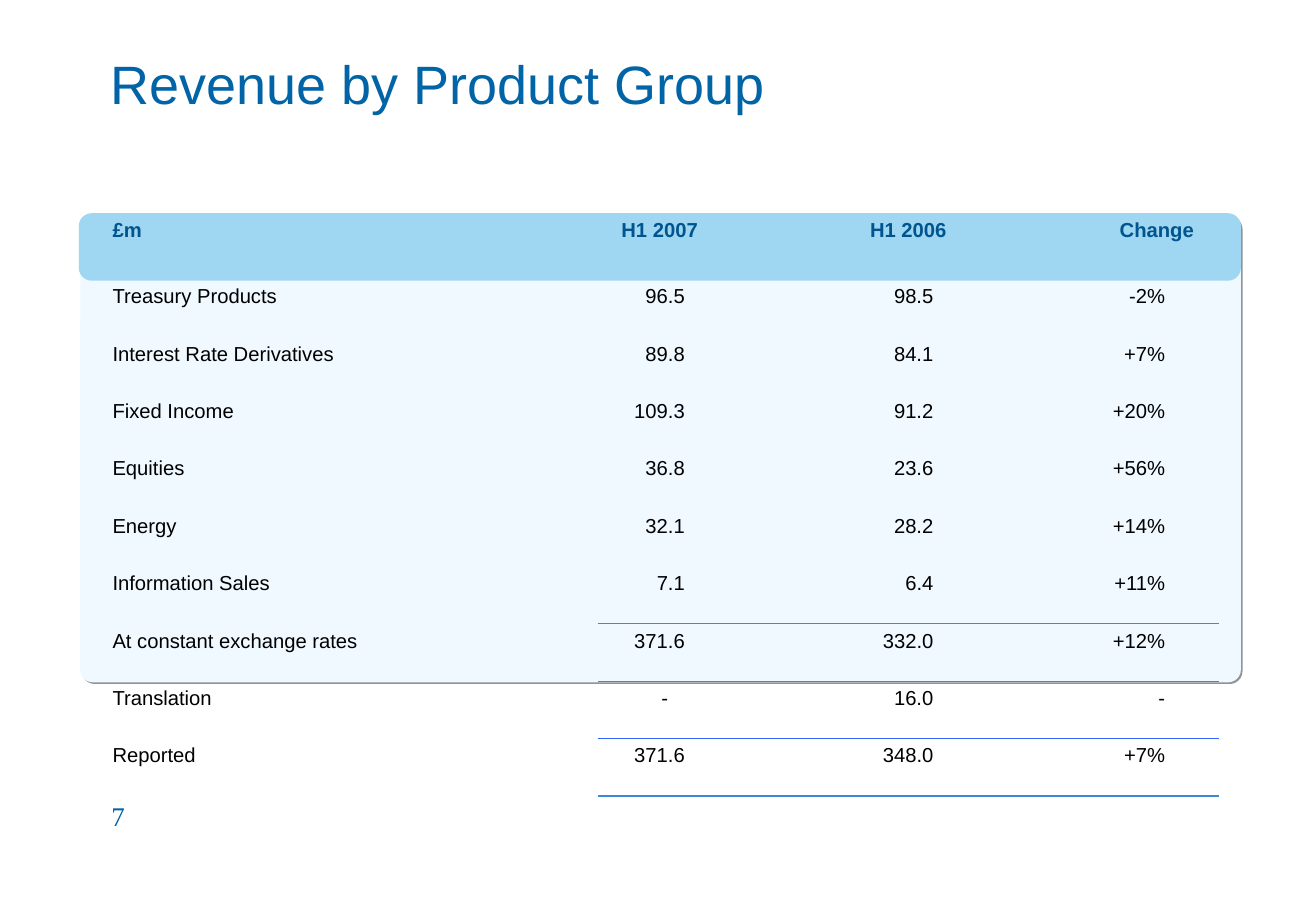
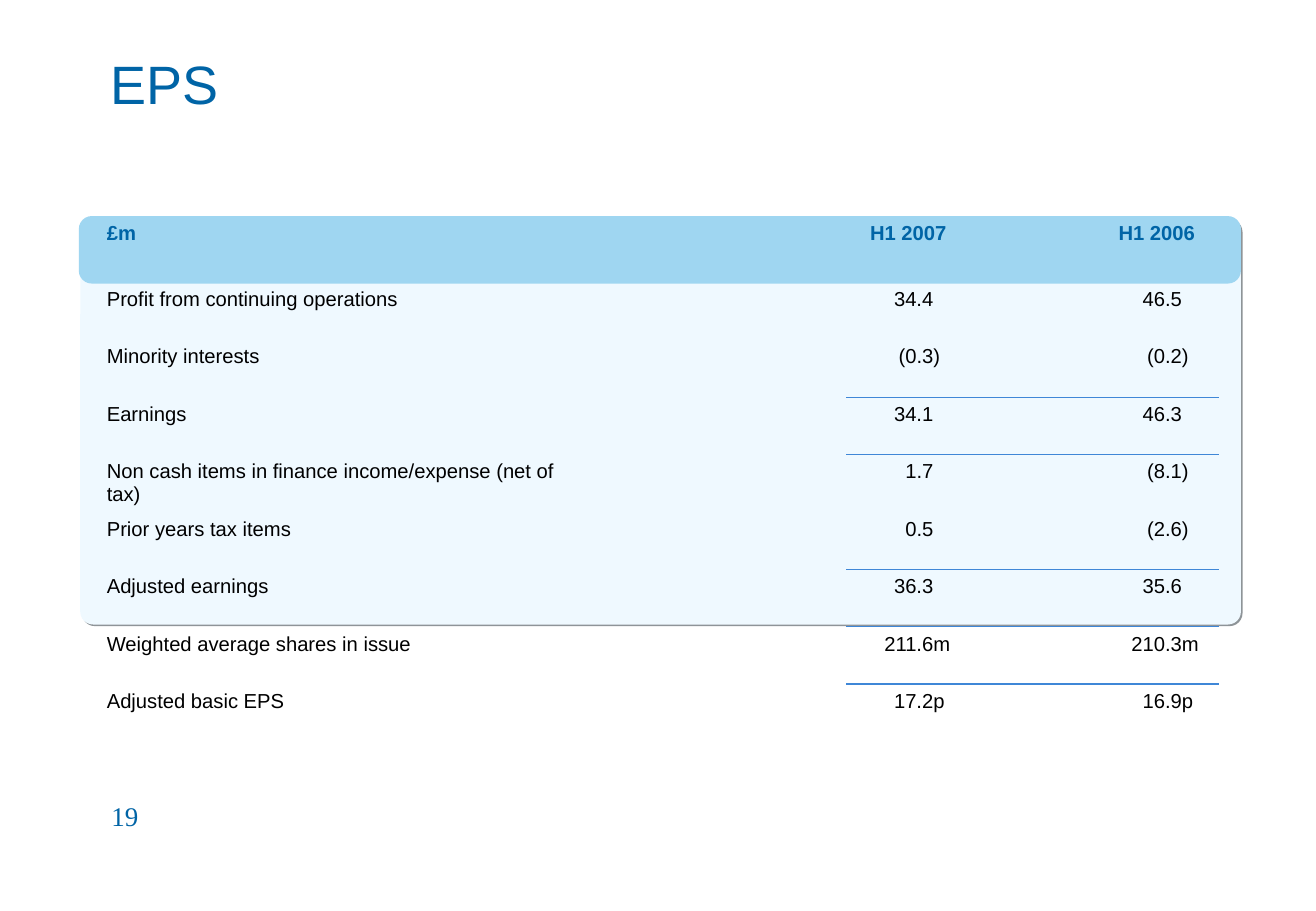
from dataclasses import dataclass

from lxml.etree import SubElement
from pptx import Presentation
from pptx.dml.color import RGBColor
from pptx.enum.shapes import MSO_SHAPE
from pptx.enum.text import MSO_ANCHOR, PP_ALIGN
from pptx.oxml.ns import qn
from pptx.util import Cm, Pt


@dataclass(frozen=True)
class Theme:
    blue: str = "0064A6"
    dark_blue: str = "00558E"
    band: str = "9FD6F1"
    panel: str = "EFF9FF"
    shadow: str = "8E9498"
    rule: str = "3F87D7"
    bright_rule: str = "3366FF"
    black: str = "000000"
    font: str = "Arial"
    number_font: str = "Times New Roman"
    title_size: int = 32
    number_size: int = 16
    table_size: int = 12
    thin: float = 0.45
    thick: float = 1.08


theme = Theme()
thin_rule = (theme.rule, theme.thin)
thick_rule = (theme.rule, theme.thick)

COLUMN_COUNT = 9
COLUMN_WIDTH = 2.6
SECOND_COLUMN_LEFT = 4.7
HEADER_HEIGHT = 1.38
ROW_HEIGHT = 1.2
DECIMAL_TAB = 1.22
CORNER_RADIUS = 0.27
NO_STYLE = "{2D5ABB26-0587-4C30-8999-92F81FD0307C}"

# Rules are keyed by the row they run beneath; row 0 is the header.
pages = [
    {
        "title": "Revenue by Product Group",
        "number": "7",
        "top": 4.46,
        "panel_height": 9.78,
        "table_left": 2.1,
        "label_span": 3,
        "header_color": theme.dark_blue,
        "rules": {6: thin_rule, 8: (theme.bright_rule, theme.thin), 9: thick_rule},
        "rows": [
            ("£m", "H1 2007", "H1 2006", "Change"),
            ("Treasury Products", "96.5", "98.5", "-2%"),
            ("Interest Rate Derivatives", "89.8", "84.1", "+7%"),
            ("Fixed Income", "109.3", "91.2", "+20%"),
            ("Equities", "36.8", "23.6", "+56%"),
            ("Energy", "32.1", "28.2", "+14%"),
            ("Information Sales", "7.1", "6.4", "+11%"),
            ("At constant exchange rates", "371.6", "332.0", "+12%"),
            ("Translation", "-", "16.0", "-"),
            ("Reported", "371.6", "348.0", "+7%"),
        ],
    },
    {
        "title": "EPS",
        "number": "19",
        "top": 4.52,
        "panel_height": 8.51,
        "table_left": 1.98,
        "label_span": 4,
        "header_color": theme.blue,
        "rules": {2: thin_rule, 5: thin_rule, 6: thick_rule},
        "rows": [
            ("£m", "H1 2007", "H1 2006"),
            ("Profit from continuing operations", "34.4", "46.5"),
            ("Minority interests", "(0.3)", "(0.2)"),
            ("Earnings", "34.1", "46.3"),
            ("Non cash items in finance income/expense (net of tax)", "1.7", "(8.1)"),
            ("Prior years tax items", "0.5", "(2.6)"),
            ("Adjusted earnings", "36.3", "35.6"),
            ("Weighted average shares in issue", "211.6m", "210.3m"),
            ("Adjusted basic EPS", "17.2p", "16.9p"),
        ],
    },
]


def add_run(paragraph, text, size, color, font=theme.font, bold=False):
    run = paragraph.add_run()
    run.text = text
    run.font.name = font
    run.font.size = Pt(size)
    run.font.bold = bold
    run.font.color.rgb = RGBColor.from_string(color)


def add_rounded_box(slide, left, top, width, height, color):
    shape = slide.shapes.add_shape(
        MSO_SHAPE.ROUNDED_RECTANGLE, Cm(left), Cm(top), Cm(width), Cm(height))
    shape.adjustments[0] = CORNER_RADIUS / height
    shape.fill.solid()
    shape.fill.fore_color.rgb = RGBColor.from_string(color)
    shape.line.fill.background()
    shape.shadow.inherit = False
    return shape


presentation = Presentation()
presentation.slide_width = Cm(27.53)
presentation.slide_height = Cm(19.05)
title_only = presentation.slide_layouts[5]

for page in pages:
    slide = presentation.slides.add_slide(title_only)
    top = page["top"]

    # Panel with a hard shadow, and the header band over its upper edge
    panel = add_rounded_box(slide, 1.68, top + 0.03, 24.28, page["panel_height"], theme.panel)
    effects = panel._element.spPr.find(qn("a:effectLst"))
    shadow = SubElement(effects, qn("a:outerShdw"), blurRad="0",
                        dist=str(Pt(1.4)), dir="2700000", algn="tl", rotWithShape="0")
    SubElement(shadow, qn("a:srgbClr"), val=theme.shadow)
    add_rounded_box(slide, 1.65, top, 24.31, 1.41, theme.band)

    # Title
    title = slide.shapes.title
    title.left, title.top, title.width, title.height = Cm(2.06), Cm(0.14), Cm(23.39), Cm(3.18)
    title.text_frame.vertical_anchor = MSO_ANCHOR.MIDDLE
    paragraph = title.text_frame.paragraphs[0]
    paragraph.alignment = PP_ALIGN.LEFT
    add_run(paragraph, page["title"], theme.title_size, theme.blue)

    # Table grid
    rows = page["rows"]
    first_width = SECOND_COLUMN_LEFT - page["table_left"]
    table = slide.shapes.add_table(
        len(rows), COLUMN_COUNT, Cm(page["table_left"]), Cm(top),
        Cm(first_width + COLUMN_WIDTH * (COLUMN_COUNT - 1)),
        Cm(HEADER_HEIGHT + ROW_HEIGHT * (len(rows) - 1))).table
    table.first_row = False
    table.horz_banding = False
    table._tbl.tblPr.find(qn("a:tableStyleId")).text = NO_STYLE
    for index, column in enumerate(table.columns):
        column.width = Cm(COLUMN_WIDTH if index else first_width)
    for index, row in enumerate(table.rows):
        row.height = Cm(ROW_HEIGHT if index else HEADER_HEIGHT)

    # Values stand in every second column, counted back from the last
    first_value_column = COLUMN_COUNT + 1 - 2 * (len(rows[0]) - 1)
    value_columns = range(first_value_column, COLUMN_COUNT, 2)

    for row_index, texts in enumerate(rows):
        is_header = row_index == 0
        for column_index in range(COLUMN_COUNT):
            cell = table.cell(row_index, column_index)
            cell_properties = cell._tc.get_or_add_tcPr()
            for edge, rule_row in (("a:lnT", row_index - 1), ("a:lnB", row_index)):
                if column_index >= first_value_column and rule_row in page["rules"]:
                    color, width = page["rules"][rule_row]
                    line = SubElement(cell_properties, qn(edge), w=str(Pt(width)))
                    line_fill = SubElement(line, qn("a:solidFill"))
                    SubElement(line_fill, qn("a:srgbClr"), val=color)
            if is_header:
                cell.fill.solid()
                cell.fill.fore_color.rgb = RGBColor.from_string(theme.band)
            else:
                cell.fill.background()

        if not is_header:
            table.cell(row_index, 0).merge(table.cell(row_index, page["label_span"] - 1))
        for column_index, text in zip((0, *value_columns), texts):
            paragraph = table.cell(row_index, column_index).text_frame.paragraphs[0]
            if column_index and is_header:
                paragraph.alignment = PP_ALIGN.CENTER
            elif column_index:
                tabs = SubElement(paragraph._p.get_or_add_pPr(), qn("a:tabLst"))
                SubElement(tabs, qn("a:tab"), pos=str(Cm(DECIMAL_TAB)), algn="dec")
                text = "\t" + text
            color = page["header_color"] if is_header else theme.black
            add_run(paragraph, text, theme.table_size, color, bold=is_header)

    # Page number
    number = slide.shapes.add_textbox(Cm(2.08), Cm(16.59), Cm(5.74), Cm(1.27))
    number.text_frame.word_wrap = True
    add_run(number.text_frame.paragraphs[0], page["number"],
            theme.number_size, theme.blue, theme.number_font)

presentation.save("out.pptx")
